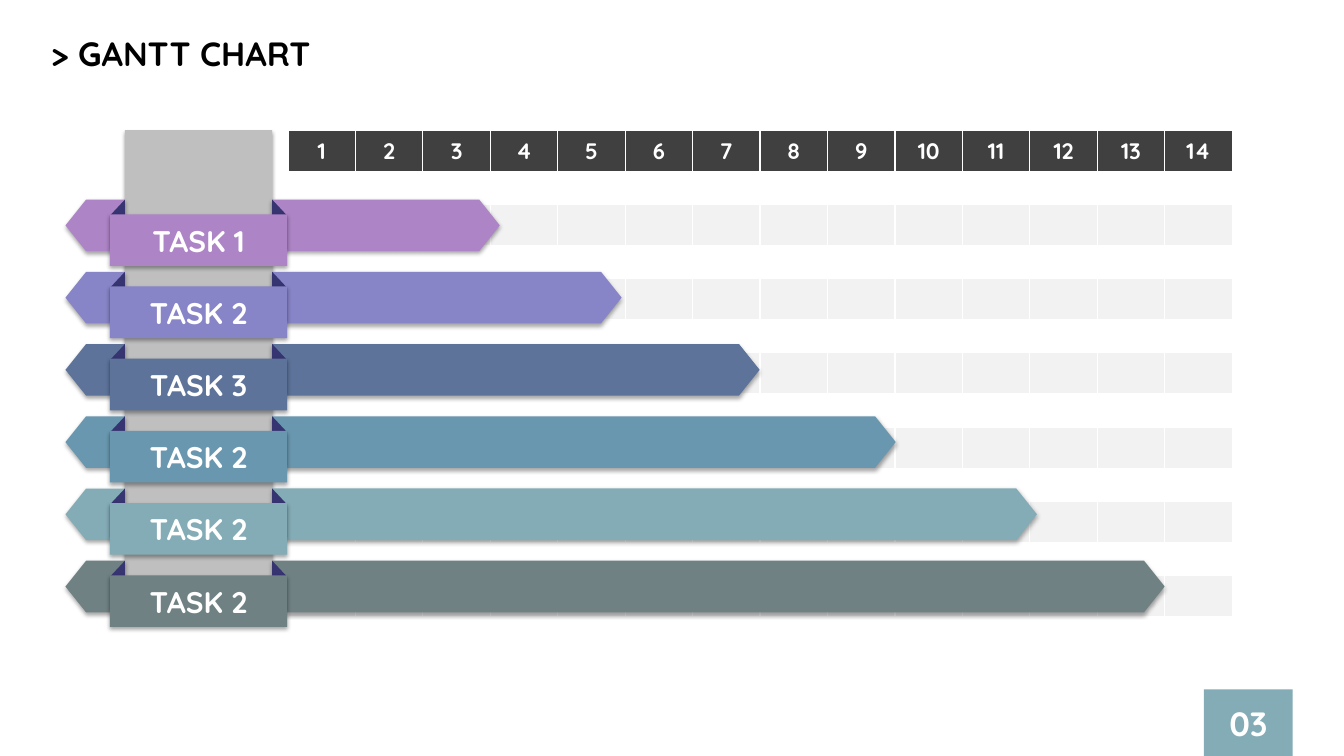
from lxml.etree import SubElement
from pptx import Presentation
from pptx.dml.color import RGBColor
from pptx.enum.shapes import MSO_SHAPE
from pptx.enum.text import MSO_ANCHOR, PP_ALIGN
from pptx.oxml import parse_xml
from pptx.oxml.ns import nsdecls, qn
from pptx.util import Cm, Pt

FONT = "Quicksand"
WHITE, GREY, FOLD, TEAL = "FFFFFF", "BFBFBF", "373472", "84ACB6"
HEADER, TRACK = "404040", "F2F2F2"
PERIODS = 14
# Label, colour and bar length in centimetres
TASKS = [
    ("TASK 1", "AD84C6", 5.74),
    ("TASK 2", "8784C7", 8.81),
    ("TASK 3", "5D739A", 12.29),
    ("TASK 2", "6997AF", 15.72),
    ("TASK 2", TEAL, 19.28),
    ("TASK 2", "6F8183", 22.5),
]
TASK_PITCH = 1.82
BAR_HEIGHT = 1.3
POINT_RATIO = 0.4


def color(value):
    return RGBColor.from_string(value)


def write(frame, text, size, fill, align=PP_ALIGN.CENTER):
    paragraph = frame.paragraphs[0]
    paragraph.alignment = align
    run = paragraph.add_run()
    run.text = text
    run.font.name = FONT
    run.font.size = Pt(size)
    run.font.bold = True
    run.font.color.rgb = color(fill)


def add_block(shapes, kind, left, top, width, height, fill, shadow=False):
    shape = shapes.add_shape(kind, Cm(left), Cm(top), Cm(width), Cm(height))
    shape.shadow.inherit = False
    shape.fill.solid()
    shape.fill.fore_color.rgb = color(fill)
    shape.line.fill.background()
    if shadow:
        effects = shape._element.spPr.find(qn("a:effectLst"))
        effects.append(parse_xml(
            f'<a:outerShdw {nsdecls("a")} blurRad="{Pt(3.1)}" dist="{Pt(1.8)}" '
            'dir="5400000" algn="t" rotWithShape="0">'
            '<a:srgbClr val="000000"><a:alpha val="35000"/></a:srgbClr>'
            '</a:outerShdw>'))
    return shape


def add_title(slide, left, top, width, height):
    box = slide.shapes.add_textbox(Cm(left), Cm(top), Cm(width), Cm(height))
    box.text_frame.word_wrap = True
    write(box.text_frame, "> GANTT CHART", 24, "000000", PP_ALIGN.LEFT)


def add_page_number(slide, left, top, width, height):
    shape = add_block(slide.shapes, MSO_SHAPE.RECTANGLE, left, top, width, height, TEAL)
    shape.text_frame.vertical_anchor = MSO_ANCHOR.MIDDLE
    write(shape.text_frame, "03", 24, WHITE)


def add_side_borders(cell):
    properties = cell._tc.get_or_add_tcPr()
    for index, side in enumerate(("a:lnL", "a:lnR")):
        line = parse_xml(f'<{side} {nsdecls("a")} w="{Pt(1)}"/>')
        SubElement(SubElement(line, qn("a:solidFill")), qn("a:srgbClr"), val=WHITE)
        properties.insert(index, line)


def add_time_grid(slide, left, top, width, track_height, gap_height):
    row_count = 2 * len(TASKS) + 1
    height = (len(TASKS) + 1) * track_height + len(TASKS) * gap_height
    table = slide.shapes.add_table(
        row_count, PERIODS, Cm(left), Cm(top), Cm(width), Cm(height)).table
    table.first_row = table.horz_banding = False
    for column in table.columns:
        column.width = Cm(width / PERIODS)
    for index, row in enumerate(table.rows):
        is_gap = index % 2 == 1
        row.height = Cm(gap_height if is_gap else track_height)
        fill = HEADER if index == 0 else WHITE if is_gap else TRACK
        for period, cell in enumerate(row.cells, start=1):
            cell.margin_top = cell.margin_bottom = 0
            cell.vertical_anchor = MSO_ANCHOR.MIDDLE
            cell.fill.solid()
            cell.fill.fore_color.rgb = color(fill)
            add_side_borders(cell)
            if index == 0:
                write(cell.text_frame, str(period), 16, WHITE)


def add_fold(shapes, center, middle, width, height, mirrored):
    fold = add_block(shapes, MSO_SHAPE.PARALLELOGRAM,
                     center - width / 2, middle - height / 2, width, height, FOLD)
    fold.adjustments[0] = 1.07
    fold.rotation = 270 if mirrored else 90
    if mirrored:
        fold._element.spPr.find(qn("a:xfrm")).set("flipH", "1")


def add_task(slide, left, top, width, label, fill, length):
    """Wrap a ribbon around a column that starts at left and is width wide."""
    right = left + width
    tail, overhang, drop = 1.5, 0.38, 0.37

    # Duration bar
    bar = add_block(slide.shapes, MSO_SHAPE.PENTAGON, right, top,
                    length, BAR_HEIGHT, fill, shadow=True)
    bar.adjustments[0] = POINT_RATIO

    # Left tip, folds and label
    shapes = slide.shapes.add_group_shape().shapes
    tip = add_block(shapes, MSO_SHAPE.PENTAGON, left - tail, top,
                    tail, BAR_HEIGHT, fill, shadow=True)
    tip.adjustments[0] = POINT_RATIO
    tip.rotation = 180
    fold_length = 1.24
    for center, mirrored in ((left - overhang / 2, True), (right + overhang / 2, False)):
        add_fold(shapes, center, top + fold_length / 2, fold_length, overhang, mirrored)
    ribbon = add_block(shapes, MSO_SHAPE.RECTANGLE, left - overhang, top + drop,
                       width + 2 * overhang, BAR_HEIGHT, fill, shadow=True)
    ribbon.text_frame.vertical_anchor = MSO_ANCHOR.MIDDLE
    write(ribbon.text_frame, label, 21.3, WHITE)


def add_gantt(slide, left, top):
    column_width = 3.71
    add_block(slide.shapes, MSO_SHAPE.RECTANGLE, left, top,
              column_width, 11.86, GREY, shadow=True)
    add_time_grid(slide, left + 4.11, top, 23.8, 1.04, 0.83)
    for index, task in enumerate(TASKS):
        add_task(slide, left, top + 1.75 + index * TASK_PITCH, column_width, *task)


def main():
    presentation = Presentation()
    presentation.slide_width = Cm(33.88)
    presentation.slide_height = Cm(19.05)
    slide = presentation.slides.add_slide(presentation.slide_layouts[6])
    add_title(slide, 1.04, 0.71, 13.5, 1.47)
    add_page_number(slide, 30.35, 17.37, 2.24, 1.68)
    add_gantt(slide, 3.15, 3.28)
    presentation.save("out.pptx")


if __name__ == "__main__":
    main()
